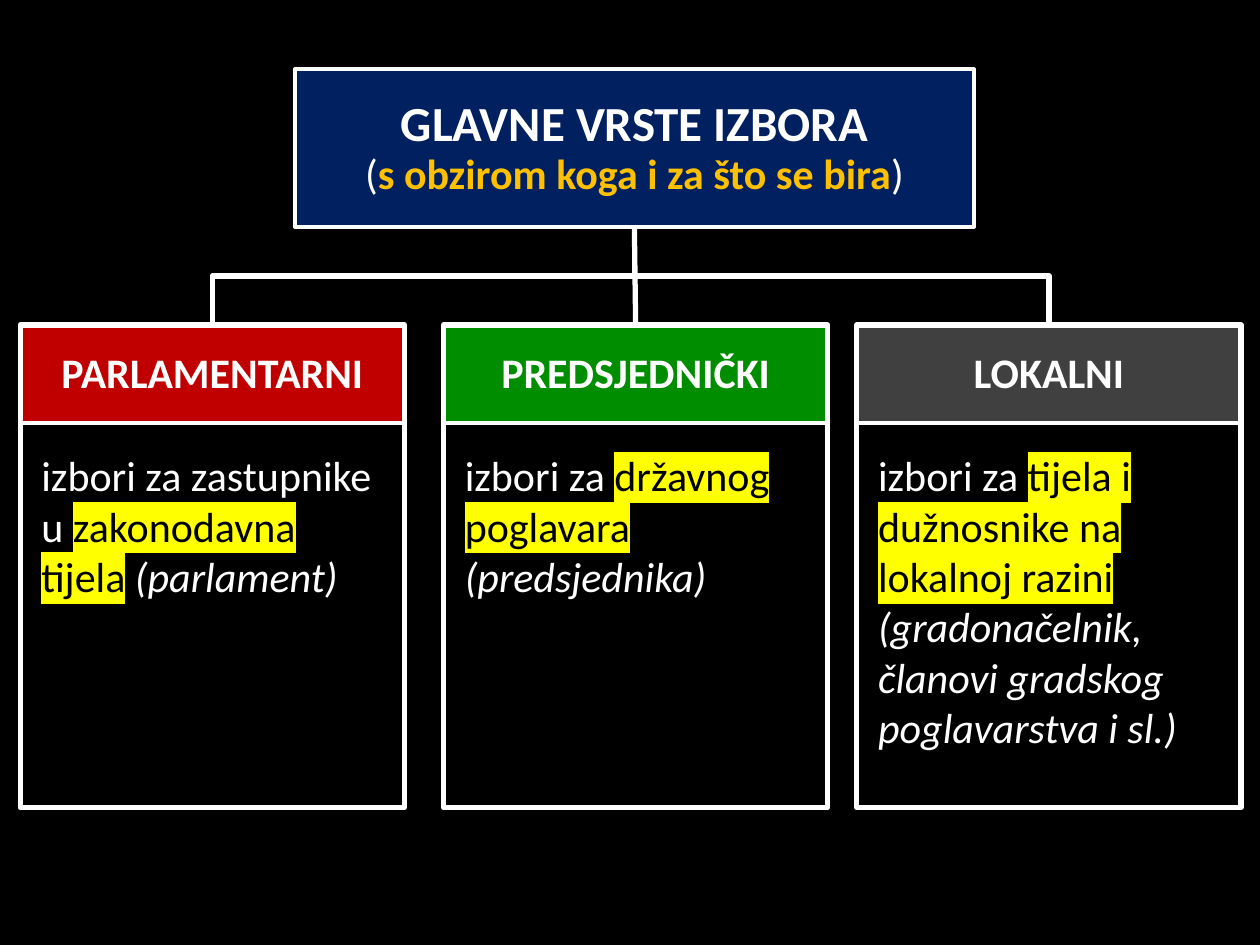
from lxml import etree
from pptx import Presentation
from pptx import util as u
from pptx.dml.color import RGBColor
from pptx.enum import shapes, text
from pptx.oxml.ns import qn

COLORS = {
    "background": "000000", "white": "FFFFFF", "black": "000000",
    "navy": "002060", "red": "C00000", "green": "008E00", "gray": "404040",
    "gold": "FFC000", "yellow": "FFFF00",
}
HEADER_HEIGHT = 0.78


def color(name):
    return RGBColor.from_string(COLORS[name])


def add_text(paragraph, content, size=24, fill="white", bold=False,
             italic=False, highlight=None):
    run = paragraph.add_run()
    run.text = content
    font = run.font
    font.name, font.size = "Calibri", u.Pt(size)
    font.bold, font.italic = bold, italic
    font.color.rgb = color(fill)
    if highlight:
        marker = etree.Element(qn("a:highlight"))
        etree.SubElement(marker, qn("a:srgbClr"), val=COLORS[highlight])
        run._r.rPr.find(qn("a:solidFill")).addnext(marker)


def add_box(slide, left, top, width, height, fill=None, line_width=2.25):
    box = slide.shapes.add_shape(
        shapes.MSO_SHAPE.RECTANGLE,
        u.Inches(left), u.Inches(top), u.Inches(width), u.Inches(height))
    box.shadow.inherit = False
    if fill:
        box.fill.solid()
        box.fill.fore_color.rgb = color(fill)
    else:
        box.fill.background()
    box.line.color.rgb = color("white")
    box.line.width = u.Pt(line_width)
    return box


def centered_paragraph(box):
    frame = box.text_frame
    frame.word_wrap = True
    frame.vertical_anchor = text.MSO_ANCHOR.MIDDLE
    paragraph = frame.paragraphs[0]
    paragraph.alignment = text.PP_ALIGN.CENTER
    paragraph.line_spacing = 0.93
    return paragraph


def add_title(slide, left, top, width, height):
    box = add_box(slide, left, top, width, height, "navy")
    paragraph = centered_paragraph(box)
    add_text(paragraph, "GLAVNE VRSTE IZBORA", size=28, bold=True)
    paragraph.add_line_break()
    add_text(paragraph, "(")
    add_text(paragraph, "s obzirom koga i za što se bira", fill="gold", bold=True)
    add_text(paragraph, ")")
    return box


def add_category(slide, left, top, width, height, category):
    name, fill, intro, key_words, example = category
    # Header
    header = add_box(slide, left, top, width, HEADER_HEIGHT, fill)
    add_text(centered_paragraph(header), name, bold=True)
    # Description
    description = slide.shapes.add_textbox(
        u.Inches(left + 0.07), u.Inches(top + 0.94),
        u.Inches(width - 0.16), u.Inches(1.31))
    frame = description.text_frame
    frame.word_wrap = True
    frame.auto_size = text.MSO_AUTO_SIZE.SHAPE_TO_FIT_TEXT
    paragraph = frame.paragraphs[0]
    add_text(paragraph, intro)
    add_text(paragraph, key_words, fill="black", highlight="yellow")
    add_text(paragraph, " ", fill="gold", bold=True)
    add_text(paragraph, example, italic=True)
    # Frame around header and description
    add_box(slide, left, top, width, height, line_width=3)
    return header


def add_line(slide, kind, start_x, start_y, end_x, end_y):
    connector = slide.shapes.add_connector(
        kind, int(start_x), int(start_y), int(end_x), int(end_y))
    connector.line.color.rgb = color("white")
    connector.line.width = u.Pt(3)
    etree.SubElement(connector._element.spPr, qn("a:effectLst"))
    return connector


def add_branch(slide, parent, child):
    """Elbow from the parent's bottom to the child's top, vertical first."""
    start_x, start_y = parent.left + parent.width / 2, parent.top + parent.height
    end_x, end_y = child.left + child.width / 2, child.top
    middle_x, middle_y = (start_x + end_x) / 2, (start_y + end_y) / 2
    half_span, half_drop = abs(end_x - start_x) / 2, (end_y - start_y) / 2
    to_left = end_x < start_x
    side = -1 if to_left else 1
    connector = add_line(
        slide, shapes.MSO_CONNECTOR.ELBOW,
        middle_x + side * half_drop, middle_y - half_span,
        middle_x - side * half_drop, middle_y + half_span)
    # Turn the horizontal-first elbow by a quarter
    degrees = 90 if to_left else 270
    connector._element.spPr.find(qn("a:xfrm")).set("rot", str(degrees * 60000))


def add_stem(slide, parent, child):
    connector = add_line(slide, shapes.MSO_CONNECTOR.STRAIGHT, 0, 0, 0, 0)
    connector.begin_connect(parent, 2)
    connector.end_connect(child, 0)


CATEGORIES = [
    ("PARLAMENTARNI", "red", "izbori za zastupnike u ",
     "zakonodavna tijela", "(parlament)"),
    ("PREDSJEDNIČKI", "green", "izbori za ",
     "državnog poglavara", "(predsjednika)"),
    ("LOKALNI", "gray", "izbori za ",
     "tijela i dužnosnike na lokalnoj razini",
     "(gradonačelnik, članovi gradskog poglavarstva i sl.)"),
]


def main():
    presentation = Presentation()
    presentation.slide_width = u.Inches(10)
    presentation.slide_height = u.Inches(7.5)
    slide = presentation.slides.add_slide(presentation.slide_layouts[6])
    slide.background.fill.solid()
    slide.background.fill.fore_color.rgb = color("background")

    title = add_title(slide, 2.34, 0.55, 5.39, 1.25)
    left, middle, right = [
        add_category(slide, x, 2.58, 3.05, 3.83, category)
        for x, category in zip((0.16, 3.52, 6.8), CATEGORIES)]

    # Branches of the tree
    add_branch(slide, title, left)
    add_branch(slide, title, right)
    add_stem(slide, title, middle)

    presentation.save("out.pptx")


if __name__ == "__main__":
    main()
